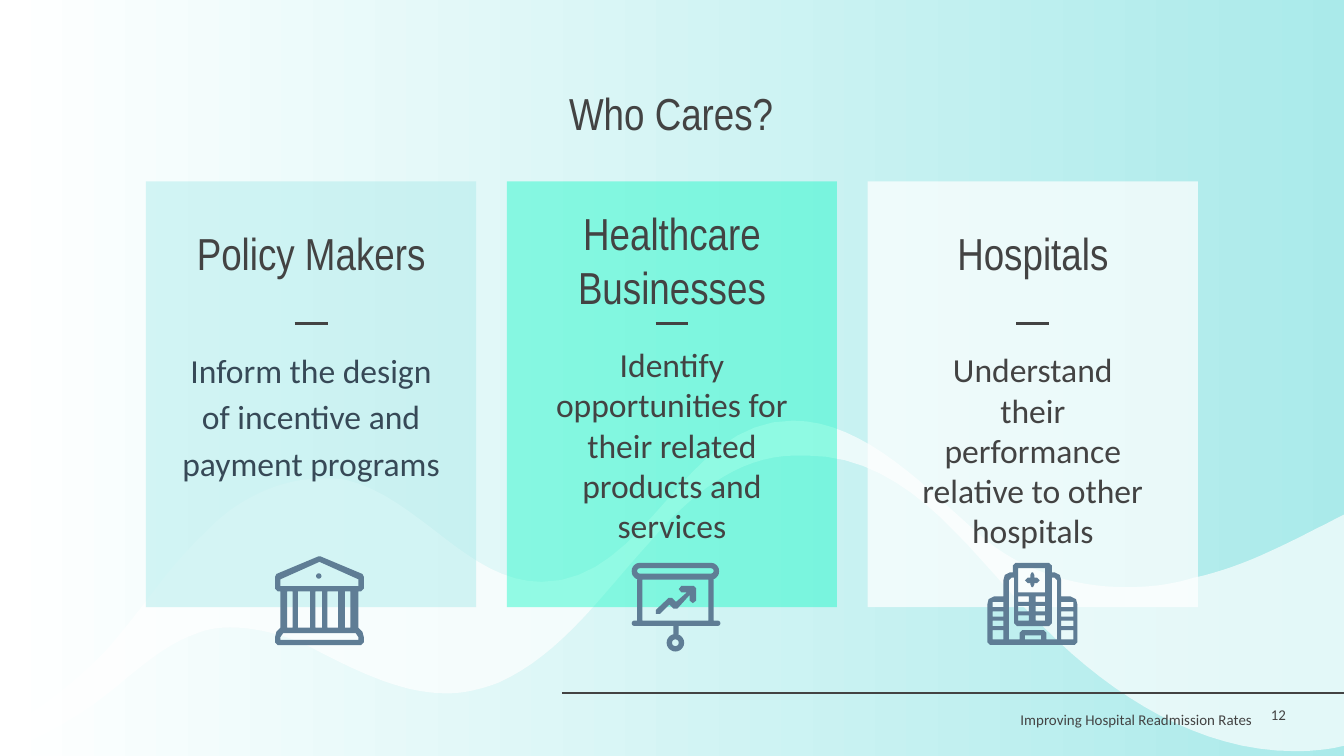
import math

import pptx
import pptx.dml.color
import pptx.enum.shapes
import pptx.enum.text
import pptx.oxml
import pptx.oxml.ns
import pptx.util

Cm, Pt = pptx.util.Cm, pptx.util.Pt
ALIGN = pptx.enum.text.PP_ALIGN
ANCHOR = pptx.enum.text.MSO_ANCHOR
INK, ICON, AQUA, WHITE = "434343", "5F7D95", "AAEAEA", "FFFFFF"
UNIT = Cm(2.54) / 1000


def rgb(value):
    """Turn a hex string into a colour."""
    return pptx.dml.color.RGBColor.from_string(value)


def paint(sp, color, opacity=100):
    """Give a shape a flat fill without outline or shadow."""
    sp.shadow.inherit = False
    sp.line.fill.background()
    sp.fill.solid()
    sp.fill.fore_color.rgb = rgb(color)
    if opacity < 100:
        clr = sp._element.spPr.find(pptx.oxml.ns.qn("a:solidFill"))[0]
        alpha = pptx.oxml.parse_xml(f'<a:alpha {pptx.oxml.ns.nsdecls("a")} val="{opacity * 1000}"/>')
        clr.append(alpha)


def add_text(s, text, x, y, w, h, size=18, font="Calibri", color=INK,
             align=ALIGN.CENTER, anchor=ANCHOR.TOP, spacing=None, after=None):
    """Add a wrapped one-paragraph text box, placed in centimetres."""
    tf = s.shapes.add_textbox(Cm(x), Cm(y), Cm(w), Cm(h)).text_frame
    tf.word_wrap = True
    tf.vertical_anchor = anchor
    tf.margin_left = tf.margin_right = tf.margin_top = tf.margin_bottom = Cm(0.25)
    p = tf.paragraphs[0]
    p.alignment, p.line_spacing = align, spacing
    if after:
        p.space_after = Pt(after)
    r = p.add_run()
    r.text = text
    r.font.size, r.font.name = Pt(size), font
    r.font.color.rgb = rgb(color)


def add_rule(s, x1, x2, y):
    """Draw a thin horizontal line."""
    ln = s.shapes.add_connector(pptx.enum.shapes.MSO_CONNECTOR.STRAIGHT, Cm(x1), Cm(y), Cm(x2), Cm(y))
    ln.line.width = Pt(1.5)
    ln.line.color.rgb = rgb(INK)
    ln._element.spPr.append(pptx.oxml.parse_xml(f'<a:effectLst {pptx.oxml.ns.nsdecls("a")}/>'))


def add_outline(shapes, contours, x, y, color, opacity=100):
    """Fill closed contours, given in hundredths of an inch, as one freeform."""
    scaled = [[(px * 10, py * 10) for px, py in c] for c in contours]
    fb = shapes.build_freeform(*scaled[0][0], scale=UNIT)
    for i, pts in enumerate(scaled):
        if i:
            fb.move_to(*pts[0])
        fb.add_line_segments(pts[1:], close=True)
    paint(fb.convert_to_shape(Cm(x), Cm(y)), color, opacity)


def rect(x, y, w, h):
    """Return the corners of a rectangle."""
    return [(x, y), (x + w, y), (x + w, y + h), (x, y + h)]


def rounded(x, y, w, h, r):
    """Return the outline of a rectangle with round corners."""
    centers = rect(x + r, y + r, w - 2 * r, h - 2 * r)
    return [(cx + r * math.cos(a), cy + r * math.sin(a))
            for i, (cx, cy) in enumerate(centers)
            for a in (math.pi * (1 + i / 2 + k / 12) for k in range(7))]


def circle(cx, cy, r):
    """Return the outline of a circle."""
    return rounded(cx - r, cy - r, 2 * r, 2 * r, r)


def mirrored(half, width):
    """Close a left half with its reflection."""
    return half + [(width - x, y) for x, y in reversed(half)]


def bezier(start, curves, steps=16):
    """Flatten a chain of cubic curves into points."""
    pts = [start]
    for a, b, c in curves:
        p = pts[-1]
        for t in (k / steps for k in range(1, steps + 1)):
            u = 1 - t
            pts.append(tuple(u**3 * p[i] + 3 * u * u * t * a[i] + 3 * u * t * t * b[i] + t**3 * c[i]
                             for i in (0, 1)))
    return pts


def bank_icon():
    """Return the frame and the dot of the bank."""
    frame = [
        mirrored([(32, 0), (1, 13), (0, 15), (0, 24), (2, 26), (4, 26), (4, 53),
                  (1, 56), (0, 60), (0, 64), (2, 66)], 66),
        mirrored([(33, 4), (4, 17), (4, 22)], 66),
        mirrored([(6, 57), (4, 60), (4, 62)], 66),
    ] + [rect(x, 26, w, 27) for x, w in ((9, 4), (17, 9), (30, 5), (39, 8), (52, 4))]
    return [frame, [circle(32.5, 14.5, 2)]]


def board_icon():
    """Return the presentation screen and its rising arrow."""
    screen = [rounded(0, 0, 65, 12.5, 6), rounded(4, 4, 57, 4, 2),
              rect(4, 12.5, 57, 30.5), rect(8, 12.5, 49, 30.5),
              rounded(0, 43, 66, 4, 2), rect(31, 47, 4, 6),
              circle(32.5, 59.5, 6.5), circle(32.5, 59.5, 2.5)]
    arrow = [(37, 17), (35, 19.5), (37, 22), (41, 22), (33, 29), (30, 26), (27.5, 26), (18, 35),
             (18, 38), (21, 38), (28, 31), (31, 34), (34, 34), (43, 24), (43, 28),
             (45.5, 30), (48, 28), (48, 19), (46, 17)]
    return [screen, [arrow]]


def hospital_icon():
    """Return the hospital building and its cross."""
    building = [
        mirrored([(21, 0), (19, 2), (19, 7), (17, 7), (13, 9), (12, 13), (12, 25), (5, 25),
                  (1, 27), (0, 31), (0, 59), (2, 61)], 67),
        mirrored([(26, 50), (24, 52), (24, 57), (16, 57), (16, 13), (18, 11), (20, 11),
                  (20, 45), (22, 47)], 68),
        rect(23, 4, 20, 18), rect(28, 54, 12, 3),
    ]
    for row in range(3):
        building += [rect(x, 25 + 7 * row, w, 4) for x, w in ((23, 8), (36, 7))]
        building += [rect(x, 29 + 7 * row, w, 4) for x, w in ((4, 8), (55, 9))]
    building += [rect(x, 50, w, 7) for x, w in ((4, 8), (55, 9))]
    cross = mirrored([(33, 7), (32, 9), (32, 11), (30, 11), (28, 13), (30, 15), (32, 15),
                      (32, 16), (33, 18)], 67)
    return [building, [cross]]


def add_backdrop(s):
    """Set the gradient background and the white wave."""
    fill = s.background.fill
    fill.gradient()
    fill.gradient_angle = 0
    for stop, color in zip(fill.gradient_stops, (WHITE, AQUA)):
        stop.color.rgb = rgb(color)
    lower = bezier((0, 562), [
        ((23, 552), (49, 539), (70, 524)), ((96, 505), (117, 482), (145, 472)),
        ((154, 468), (163, 467), (172, 467)), ((190, 467), (209, 472), (226, 479)),
        ((261, 497), (296, 516), (332, 516)), ((345, 516), (358, 513), (371, 508)),
        ((418, 487), (449, 441), (483, 404)), ((512, 370), (548, 339), (592, 339)),
        ((595, 339), (597, 339), (600, 339)), ((681, 339), (726, 419), (779, 469)),
        ((828, 518), (893, 559), (963, 559)), ((975, 559), (988, 558), (1000, 555))])
    upper = bezier((1000, 383), [
        ((964, 401), (927, 422), (888, 430)), ((872, 435), (855, 437), (838, 437)),
        ((798, 437), (759, 424), (730, 399)), ((691, 365), (644, 313), (590, 313)),
        ((507, 313), (483, 433), (403, 433)), ((348, 433), (312, 370), (257, 357)),
        ((251, 356), (246, 356), (240, 356)), ((208, 356), (175, 372), (153, 396)),
        ((125, 422), (104, 456), (78, 485)), ((55, 508), (29, 529), (0, 544))])
    add_outline(s.shapes, [lower + upper], 0, 0, WHITE, 67)


def add_card(s, x, y, w, h, fill, head, head_y, body, body_y, body_w, icon, icon_at, **body_format):
    """Build one audience card inside the given box."""
    sp = s.shapes.add_shape(pptx.enum.shapes.MSO_SHAPE.RECTANGLE, Cm(x), Cm(y), Cm(w), Cm(h))
    paint(sp, *fill)
    mid = x + w / 2
    add_rule(s, mid - 0.31, mid + 0.31, y + 2.68)
    add_text(s, head, mid - 3.41, y + head_y, 6.82, 0.76, size=24, font="Arial Narrow", anchor=ANCHOR.BOTTOM)
    add_text(s, body, mid - body_w / 2, y + body_y, body_w, 3.5, **body_format)
    group = s.shapes.add_group_shape()
    for contours in icon:
        add_outline(group.shapes, contours, x + icon_at[0], y + icon_at[1], ICON)


def add_footer(s, x, y, w):
    """Add the closing rule, the running title and the page number."""
    add_rule(s, x, x + w, y)
    add_text(s, "Improving Hospital Readmission Rates", x - 1.53, y + 0.07, 14.83, 0.86,
             size=8, align=ALIGN.RIGHT, anchor=ANCHOR.MIDDLE)
    add_text(s, "12", x + 13.15, y + 0.07, 1.52, 1.09, size=8, align=ALIGN.LEFT)


def main():
    """Build and save the slide."""
    prs = pptx.Presentation()
    prs.slide_width, prs.slide_height = Cm(25.4), Cm(14.29)
    s = prs.slides.add_slide(prs.slide_layouts[6])
    add_backdrop(s)
    add_text(s, "Who Cares?", 3.78, 0.81, 17.81, 2.62, size=24, font="Arial Narrow", anchor=ANCHOR.MIDDLE)
    cards = [
        dict(fill=(AQUA, 47), head="Policy Makers", head_y=1.35, body_y=2.82, body_w=5.72,
             body="Inform the design of incentive and payment programs",
             icon=bank_icon(), icon_at=(2.44, 7.09), color="374957", spacing=1.15, after=16),
        dict(fill=("01F9C0", 40), head="Healthcare Businesses", head_y=1.98, body_y=2.82, body_w=5.28,
             body="Identify opportunities for their related products and services",
             icon=board_icon(), icon_at=(2.36, 7.21)),
        dict(fill=(WHITE, 72), head="Hospitals", head_y=1.35, body_y=2.92, body_w=4.85,
             body="Understand their performance relative to other hospitals",
             icon=hospital_icon(), icon_at=(2.26, 7.21)),
    ]
    for i, card in enumerate(cards):
        add_card(s, 2.76 + 6.82 * i, 3.43, 6.24, 8.05, **card)
    add_footer(s, 10.62, 13.1, 14.78)
    prs.save("out.pptx")


if __name__ == "__main__":
    main()
